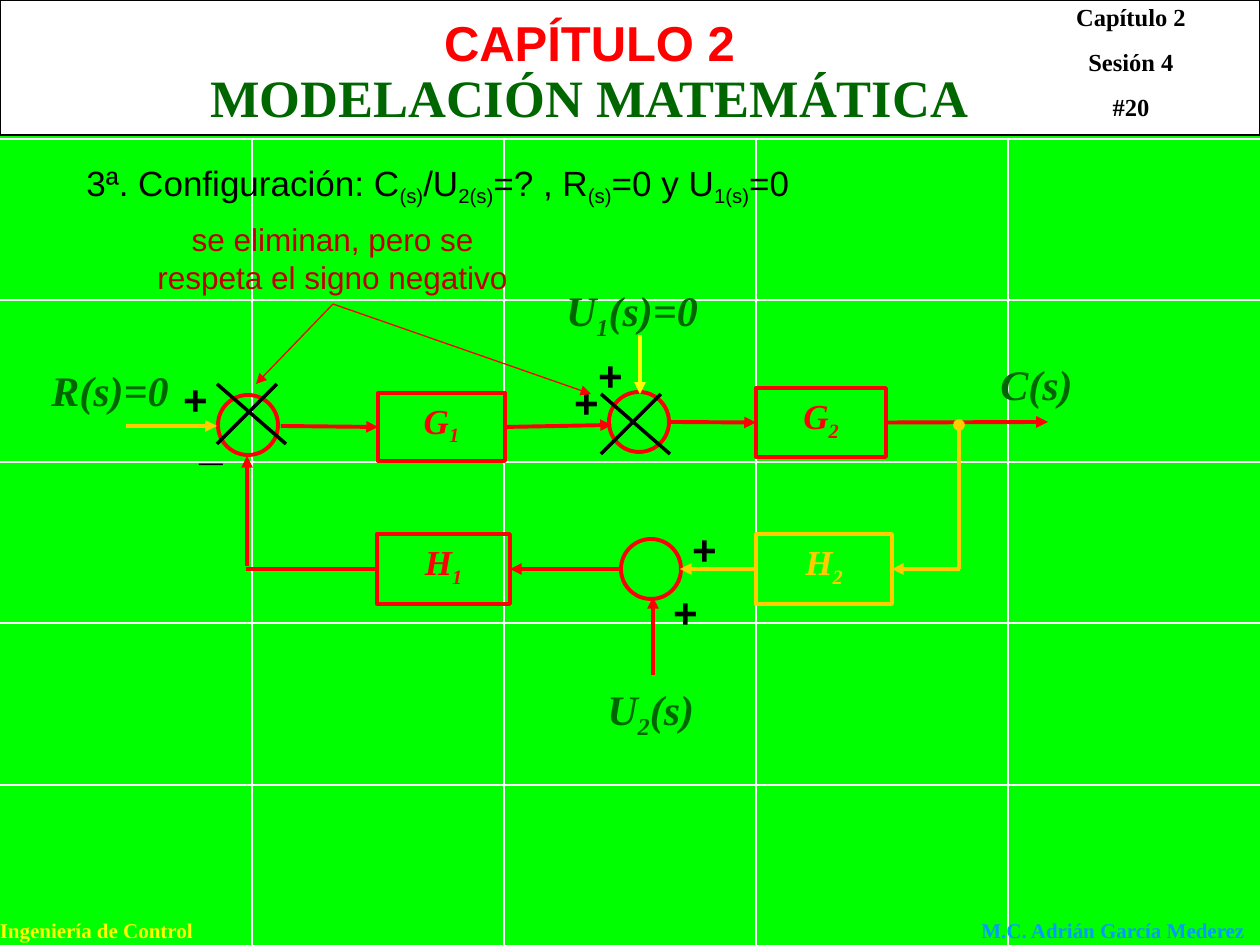
from typing import NamedTuple, Optional

from lxml.etree import SubElement
from pptx import Presentation
from pptx.dml.color import RGBColor
from pptx.enum.shapes import MSO_CONNECTOR, MSO_SHAPE
from pptx.enum.text import MSO_ANCHOR, MSO_AUTO_SIZE, PP_ALIGN
from pptx.oxml.ns import qn
from pptx.util import Pt

PX = 914400 / 126  # EMU per pixel
WIDTH, HEIGHT = 1260, 945
SANS, SERIF = "Arial", "Times New Roman"
TOP, LEFT, BOTTOM, RIGHT = range(4)
COLORS = {
    "background": "00FF00", "white": "FFFFFF", "black": "000000",
    "red": "FF0000", "dark red": "C00000", "green": "006600",
    "gold": "FFCC00", "yellow": "FFFF00", "blue": "0099FF",
}


class Box(NamedTuple):
    x: int
    y: int
    w: int
    h: int


class Block(NamedTuple):
    text: str
    box: Box
    color: str = "red"


class Arrow(NamedTuple):
    start: tuple[int, int]
    end: tuple[int, int]
    color: str = "red"
    source: Optional[tuple[str, int]] = None  # block and side
    target: Optional[tuple[str, int]] = None
    tip: Optional[str] = "triangle"
    width: float = 2.25


class Label(NamedTuple):
    text: str
    box: Box
    centered: bool = False


def emu(*lengths: int) -> list[int]:
    return [round(length * PX) for length in lengths]


def rgb(name: str) -> RGBColor:
    return RGBColor.from_string(COLORS[name])


def write(shape, text: str, *, size: int, color: str, font: str = SERIF,
          bold: bool = True, italic: bool = False, centered: bool = False,
          wrap: bool = True, gap: float = 0, subscript: int = -25) -> None:
    """Fill a shape with text; parts in braces become subscripts."""
    frame = shape.text_frame
    frame.auto_size = MSO_AUTO_SIZE.NONE
    frame.word_wrap = wrap
    frame.vertical_anchor = MSO_ANCHOR.TOP
    for row, line in enumerate(text.split("\n")):
        paragraph = frame.add_paragraph() if row else frame.paragraphs[0]
        paragraph.alignment = PP_ALIGN.CENTER if centered else PP_ALIGN.LEFT
        paragraph.space_before = Pt(gap if row else 0)
        for part, words in enumerate(line.replace("}", "{").split("{")):
            if not words:
                continue
            run = paragraph.add_run()
            run.text = words
            run.font.name, run.font.size = font, Pt(size)
            run.font.bold, run.font.italic = bold, italic
            run.font.color.rgb = rgb(color)
            if part % 2:
                run.font._element.set("baseline", str(subscript * 1000))


def add_text(slide, box: Box, text: str, **style) -> None:
    write(slide.shapes.add_textbox(*emu(*box)), text, **style)


def add_outline(slide, kind, box: Box, color: str, width: float = 2.25,
                fill: Optional[str] = None):
    shape = slide.shapes.add_shape(kind, *emu(*box))
    shape.shadow.inherit = False
    if fill:
        shape.fill.solid()
        shape.fill.fore_color.rgb = rgb(fill)
    else:
        shape.fill.background()
    shape.line.color.rgb = rgb(color)
    shape.line.width = Pt(width)
    return shape


def add_arrow(slide, arrow: Arrow, blocks: dict) -> None:
    line = slide.shapes.add_connector(
        MSO_CONNECTOR.STRAIGHT, *emu(*arrow.start, *arrow.end))
    if arrow.source:
        line.begin_connect(blocks[arrow.source[0]], arrow.source[1])
    if arrow.target:
        line.end_connect(blocks[arrow.target[0]], arrow.target[1])
    line.line.color.rgb = rgb(arrow.color)
    line.line.width = Pt(arrow.width)
    if arrow.tip:
        SubElement(line.line._get_or_add_ln(), qn("a:tailEnd"), type=arrow.tip)
    SubElement(line._element.spPr, qn("a:effectLst"))


GRID_TOP = 139
GRID = [Arrow((x, GRID_TOP), (x, HEIGHT), "white", tip=None, width=1)
        for x in range(252, WIDTH, 252)]
GRID += [Arrow((0, y), (WIDTH, y), "white", tip=None, width=1)
         for y in (GRID_TOP + row * 323 // 2 for row in range(5))]

BLOCKS = {
    "G1": Block("G{1}", Box(378, 393, 127, 68)),
    "G2": Block("G{2}", Box(756, 388, 130, 69)),
    "H1": Block("H{1}", Box(377, 534, 133, 70)),
    "H2": Block("H{2}", Box(756, 534, 136, 70), "gold"),
}
SUMMING_POINTS = [Box(218, 395, 60, 60), Box(609, 392, 60, 60),
                  Box(621, 539, 60, 60)]

SIGNALS = [
    # Forward path
    Arrow((126, 426), (217, 426), "gold"),
    Arrow((281, 426), (374, 426), target=("G1", LEFT)),
    Arrow((503, 426), (612, 425), source=("G1", RIGHT)),
    Arrow((669, 422), (758, 422), target=("G2", LEFT)),
    Arrow((888, 422), (1048, 422), source=("G2", RIGHT)),
    # Feedback path
    Arrow((960, 569), (890, 569), "gold", target=("H2", RIGHT)),
    Arrow((757, 569), (680, 569), "gold", source=("H2", LEFT)),
    Arrow((622, 569), (507, 569), target=("H1", RIGHT)),
    Arrow((377, 569), (246, 569), source=("H1", LEFT), tip=None),
    Arrow((247, 566), (247, 456)),
    Arrow((959, 569), (959, 425), "gold", tip="oval"),
    # Disturbances
    Arrow((640, 335), (640, 394), "yellow"),
    Arrow((653, 675), (653, 597)),
]
LABELS = [
    Label("R(s)=0", Box(39, 358, 160, 76)),
    Label("C(s)", Box(988, 352, 142, 73)),
    Label("U{1}(s)=0", Box(547, 278, 170, 71), True),
    Label("U{2}(s)", Box(595, 677, 122, 71)),
]
SIGNS = [("_", 189, 412), ("+", 170, 367), ("+", 561, 370),
         ("+", 679, 517), ("+", 660, 580), ("+", 585, 343)]

# Crosses over the inputs set to zero, and pointers from the remark
REMARK_TIP = (333, 304)
CROSSES = [((217, 384), (286, 444)), ((277, 384), (217, 444)),
           ((601, 394), (670, 454)), ((661, 394), (601, 454))]
REMARKS = [Arrow(a, b, "black", tip=None, width=2) for a, b in CROSSES]
REMARKS += [Arrow(REMARK_TIP, end, width=0.75)
            for end in ((256, 384), (591, 394))]


def main() -> None:
    deck = Presentation()
    deck.slide_width, deck.slide_height = emu(WIDTH, HEIGHT)
    slide = deck.slides.add_slide(deck.slide_layouts[5])
    slide.background.fill.solid()
    slide.background.fill.fore_color.rgb = rgb("background")

    # Grid, header band and footer
    for rule in GRID:
        add_arrow(slide, rule, {})
    add_outline(slide, MSO_SHAPE.RECTANGLE, Box(0, 0, WIDTH, 135), "black",
                0.75, "white")
    add_text(slide, Box(-15, 911, 223, 38), "Ingeniería de Control", size=12,
             color="yellow", centered=True)
    add_text(slide, Box(969, 911, 290, 38), "M.C. Adrián García Mederez",
             size=12, color="blue", wrap=False)
    add_text(slide, Box(1027, -4, 208, 132), "Capítulo 2\nSesión 4\n#20",
             size=14, color="black", centered=True, gap=8.8)

    # Title, brought in front of the header band
    title = slide.shapes.title
    title.left, title.top, title.width, title.height = emu(113, 6, 953, 72)
    write(title, "CAPÍTULO 2", size=28, color="red", font=SANS, centered=True)
    slide.shapes._spTree.append(title._element)
    add_text(slide, Box(113, 59, 953, 76), "MODELACIÓN MATEMÁTICA", size=30,
             color="green", centered=True)

    # Block diagram
    blocks = {}
    for name, block in BLOCKS.items():
        blocks[name] = add_outline(slide, MSO_SHAPE.RECTANGLE, block.box,
                                   block.color)
        write(blocks[name], block.text, size=20, color=block.color,
              italic=True, centered=True)
    for point in SUMMING_POINTS:
        add_outline(slide, MSO_SHAPE.OVAL, point, "red")
    for signal in SIGNALS:
        add_arrow(slide, signal, blocks)
    for label in LABELS:
        add_text(slide, label.box, label.text, size=24, color="green",
                 italic=True, centered=label.centered)
    for sign, x, y in SIGNS:
        add_text(slide, Box(x, y, 61, 63), sign, size=24, color="black",
                 font=SANS, italic=True)

    # Configuration and remark
    add_text(slide, Box(74, 155, 794, 60),
             "3ª. Configuración: C{(s)}/U{2(s)}=? , R{(s)}=0 y U{1(s)}=0",
             size=20, color="black", font=SANS, bold=False, subscript=-20)
    for remark in REMARKS:
        add_arrow(slide, remark, blocks)
    add_text(slide, Box(134, 214, 397, 88),
             "se eliminan, pero se respeta el signo negativo", size=18,
             color="dark red", font=SANS, bold=False, centered=True)

    deck.save("out.pptx")


if __name__ == "__main__":
    main()
